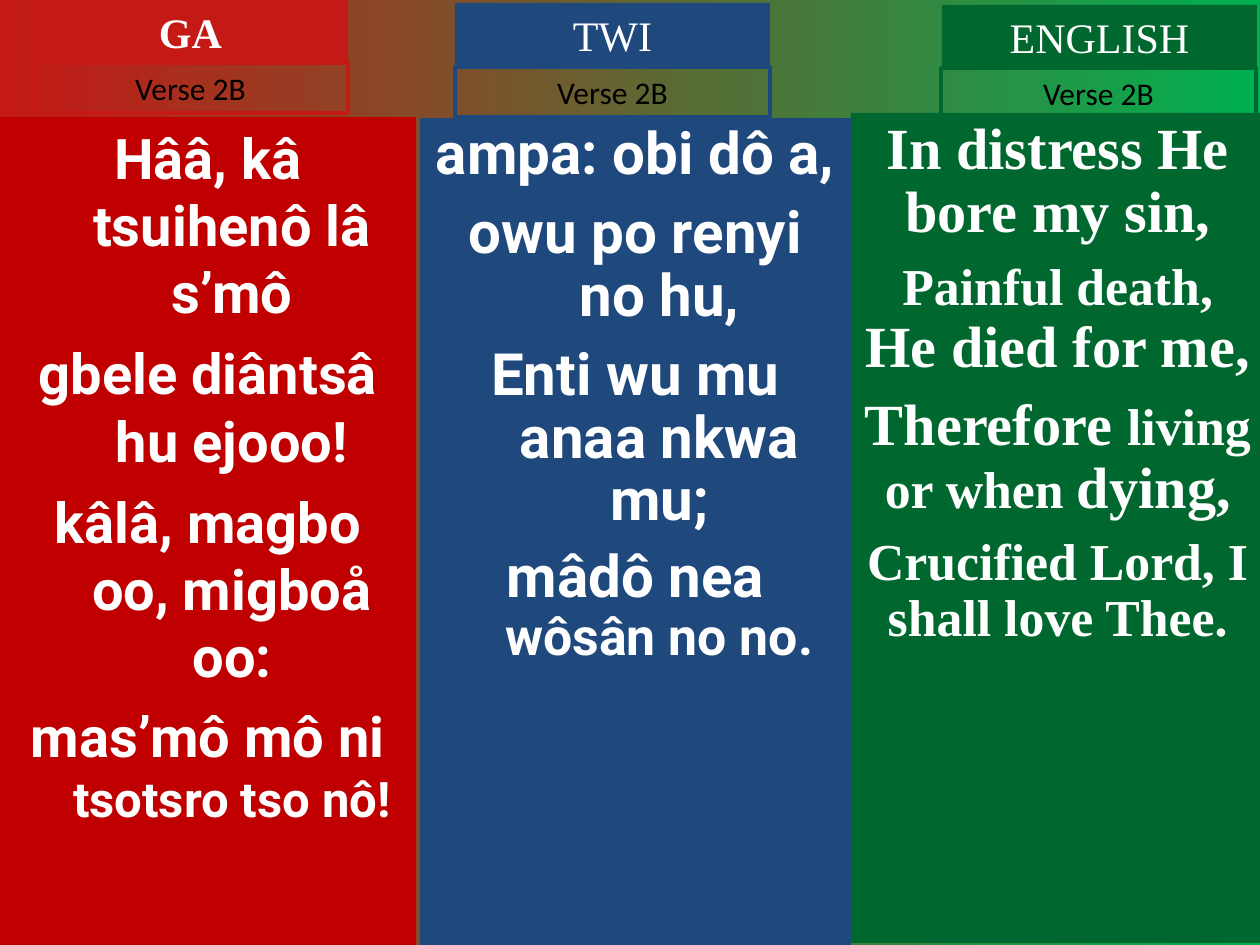
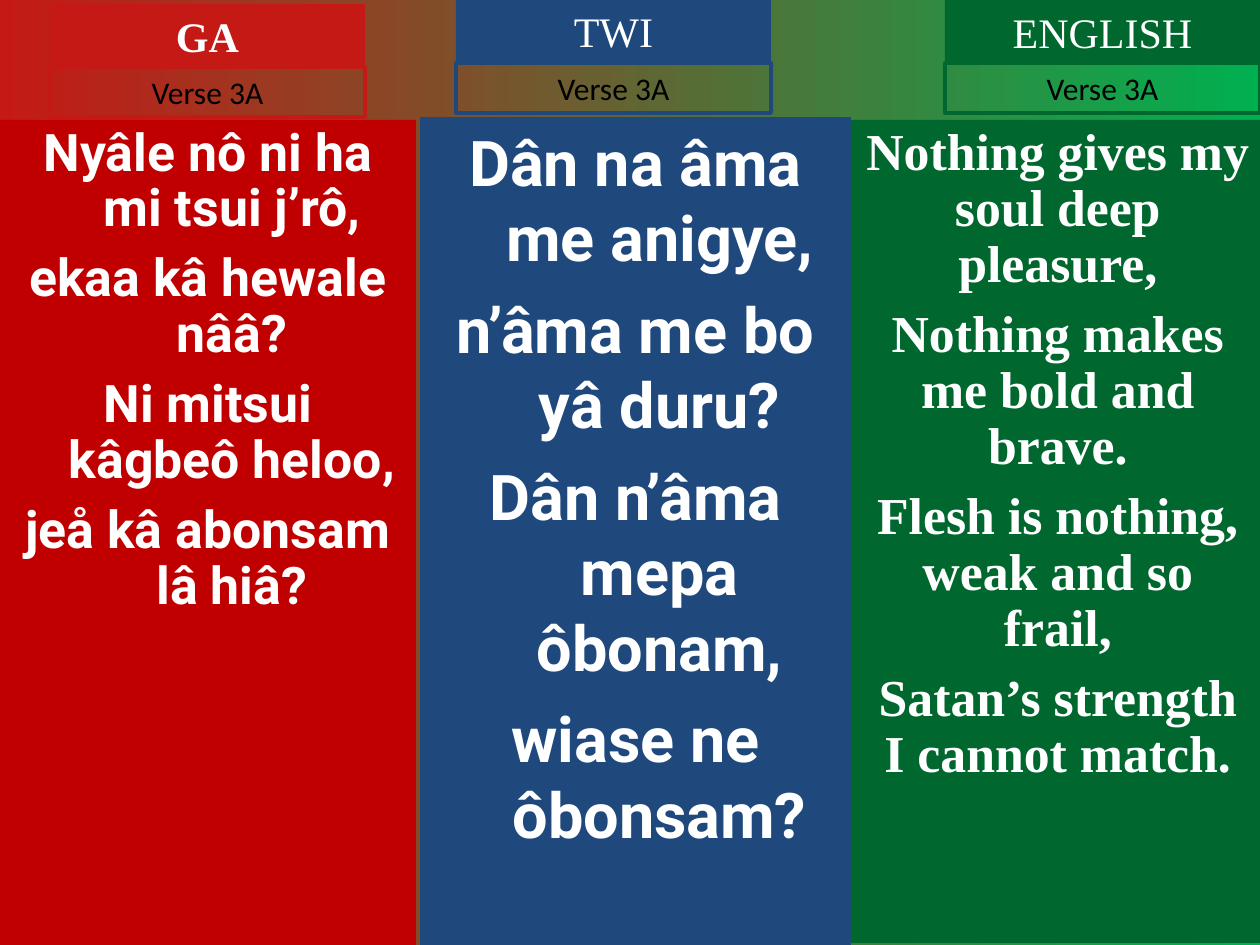
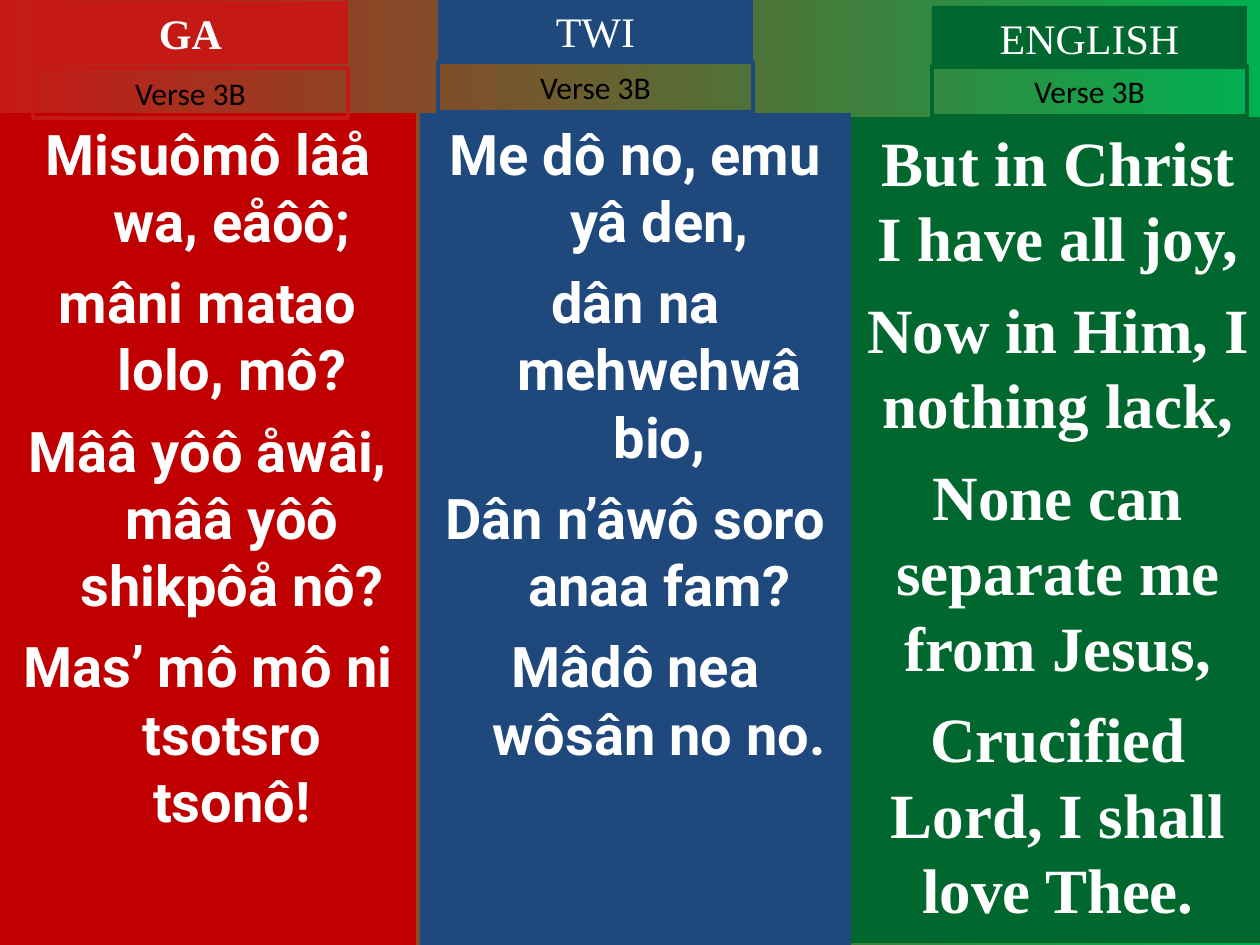
from dataclasses import dataclass
from math import ceil

from lxml.etree import SubElement
from pptx import Presentation
from pptx.dml.color import RGBColor
from pptx.enum.shapes import MSO_SHAPE as SHAPE
from pptx.enum.text import MSO_ANCHOR as ANCHOR, MSO_AUTO_SIZE as FIT, PP_ALIGN as ALIGN
from pptx.oxml.ns import qn
from pptx.util import Emu, Pt

PX_PER_INCH = 126
WIDTH, HEIGHT = 1260, 945
HEADER_W, HEADER_H, TAG_H = 315, 63, 50
TWO_CONTENT = 3
SERIF, SANS, LABEL = "Times New Roman", "Roboto", "Calibri"
RED, BLUE, GREEN = "C51915", "1F497D", "00682F"


@dataclass
class Language:
    name: str
    accent: str
    fill: str
    left: int
    width: int
    bottom: int
    font: str
    hanging: int
    bold_name: bool = False


@dataclass
class Verse:
    """One column's text; a line is a string or a list of (text, size) runs."""
    header: tuple
    tag: tuple
    top: int
    size: float
    spacing: float
    lines: list


LANGUAGES = [
    Language("GA", RED, "C00000", 0, 416, HEIGHT, SANS, 48, True),
    Language("TWI", BLUE, BLUE, 420, 431, HEIGHT, SANS, 48),
    Language("ENGLISH", GREEN, GREEN, 851, 414, 943, SERIF, 0),
]

SLIDES = [
    ("Verse 2B", [
        Verse((33, 0), (33, 63), 117, 32, 1, [
            "Hââ, kâ tsuihenô lâ s’mô",
            "gbele diântsâ hu ejooo!",
            "kâlâ, magbo oo, migboå oo:",
            [("mas’mô mô ni ", 32), ("tsotsro tso nô!", 28)]]),
        Verse((455, 3), (455, 67), 118, 33.3, 0.9, [
            "ampa: obi dô a,",
            "owu po renyi no hu,",
            "Enti wu mu anaa nkwa mu;",
            [("mâdô nea ", 33.3), ("wôsân no no.", 29.6)]]),
        Verse((942, 5), (941, 68), 113, 33.3, 0.9, [
            "In distress He bore my sin,",
            [("Painful death, ", 29.6), ("He died for me,", 33.3)],
            [("Therefore ", 33.3), ("living or when ", 29.6), ("dying,", 33.3)],
            [("Crucified Lord, I shall love Thee.", 29.6)]]),
    ]),
    ("Verse 3A", [
        Verse((50, 4), (50, 67), 120, 29.6, 0.9, [
            "Nyâle nô ni ha mi tsui j’rô,",
            "ekaa kâ hewale nââ?",
            "Ni mitsui kâgbeô heloo,",
            "jeå kâ abonsam lâ hiâ?"]),
        Verse((456, -1), (456, 63), 117, 36, 1, [
            "Dân na âma me anigye,",
            "n’âma me bo yâ duru?",
            "Dân n’âma mepa ôbonam,",
            "wiase ne ôbonsam?"]),
        Verse((945, 0), (945, 63), 120, 29.6, 0.9, [
            "Nothing gives my soul deep pleasure,",
            "Nothing makes me bold and brave.",
            "Flesh is nothing, weak and so frail,",
            "Satan’s strength I cannot match."]),
    ]),
    ("Verse 3B", [
        Verse((33, 1), (33, 68), 113, 32, 1, [
            "Misuômô lâå wa, eåôô;",
            "mâni matao lolo, mô?",
            "Mââ yôô åwâi, mââ yôô shikpôå nô?",
            "Mas’ mô mô ni tsotsro tsonô!"]),
        Verse((438, -1), (438, 62), 113, 32, 1, [
            "Me dô no, emu yâ den,",
            "dân na mehwehwâ bio,",
            "Dân n’âwô soro anaa fam?",
            "Mâdô nea wôsân no no."]),
        Verse((932, 6), (932, 66), 117, 36, 1, [
            "But in Christ I have all joy,",
            "Now in Him, I nothing lack,",
            "None can separate me from Jesus,",
            "Crucified Lord, I shall love Thee."]),
    ]),
]


def px(n):
    return Emu(round(n * 914400 / PX_PER_INCH))


def rgb(color):
    return RGBColor.from_string(color)


def put(target, **values):
    """Set each given attribute on the target."""
    for name, value in values.items():
        setattr(target, name, value)


class Deck:
    def __init__(self):
        self.prs = Presentation()
        put(self.prs, slide_width=px(WIDTH), slide_height=px(HEIGHT))
        fill = self.prs.slide_master.background.fill
        fill.gradient()
        fill.gradient_angle = 0
        for stop, color in zip(fill.gradient_stops, (RED, "00B050")):
            stop.color.rgb = rgb(color)

    def new_slide(self):
        self.slide = self.prs.slides.add_slide(self.prs.slide_layouts[TWO_CONTENT])
        title = self.slide.shapes.title.element
        title.getparent().remove(title)
        self.bodies = list(self.slide.placeholders)

    def rect(self, left, top, width, height):
        sp = self.slide.shapes.add_shape(
            SHAPE.RECTANGLE, px(left), px(top), px(width), px(height))
        sp.shadow.inherit = False
        sp.fill.background()
        sp.line.fill.background()
        return sp

    def run(self, p, text, size, font, color="FFFFFF", bold=False):
        r = p.add_run()
        r.text = text
        put(r.font, size=Pt(size), name=font, bold=bold)
        r.font.color.rgb = rgb(color)

    def label(self, sp, text, size, font, **style):
        tf = sp.text_frame
        put(tf, word_wrap=True, auto_size=FIT.SHAPE_TO_FIT_TEXT)
        p = tf.paragraphs[0]
        p.alignment = ALIGN.CENTER
        self.run(p, text, size, font, **style)

    def header(self, lang, at):
        sp = self.rect(*at, HEADER_W, HEADER_H)
        sp.fill.solid()
        sp.fill.fore_color.rgb = rgb(lang.accent)
        self.label(sp, lang.name, 24, SERIF, bold=lang.bold_name)

    def tag(self, lang, at, text):
        sp = self.rect(*at, HEADER_W, TAG_H)
        sp.line.color.rgb = rgb(lang.accent)
        sp.line.width = Pt(2.25)
        self.label(sp, text, 18, LABEL, color="000000")

    def column(self, lang, verse):
        """Fill the next free body placeholder, or a rectangle when none is left."""
        box = lang.left, verse.top, lang.width, lang.bottom - verse.top
        if self.bodies:
            sp = self.bodies.pop(0)
            put(sp, **dict(zip(("left", "top", "width", "height"), map(px, box))))
        else:
            sp = self.rect(*box)
        sp.fill.solid()
        sp.fill.fore_color.rgb = rgb(lang.fill)
        tf = sp.text_frame
        put(tf, word_wrap=True, auto_size=FIT.NONE, vertical_anchor=ANCHOR.TOP)
        for i, line in enumerate(verse.lines):
            runs = [(line, verse.size)] if isinstance(line, str) else line
            p = tf.add_paragraph() if i else tf.paragraphs[0]
            pPr = p._p.get_or_add_pPr()
            pPr.set("marL", str(px(lang.hanging)))
            pPr.set("indent", str(-px(lang.hanging)))
            SubElement(pPr, qn("a:buNone"))
            put(p, alignment=ALIGN.CENTER, line_spacing=float(verse.spacing),
                space_before=Pt(ceil(runs[-1][1] / 4) if i else 0))
            for text, size in runs:
                self.run(p, text, size, lang.font, bold=True)


def main():
    deck = Deck()
    for verse_name, verses in SLIDES:
        deck.new_slide()
        for lang, verse in zip(LANGUAGES, verses):
            deck.column(lang, verse)
            deck.header(lang, verse.header)
            deck.tag(lang, verse.tag, verse_name)
    deck.prs.save("out.pptx")


if __name__ == "__main__":
    main()
